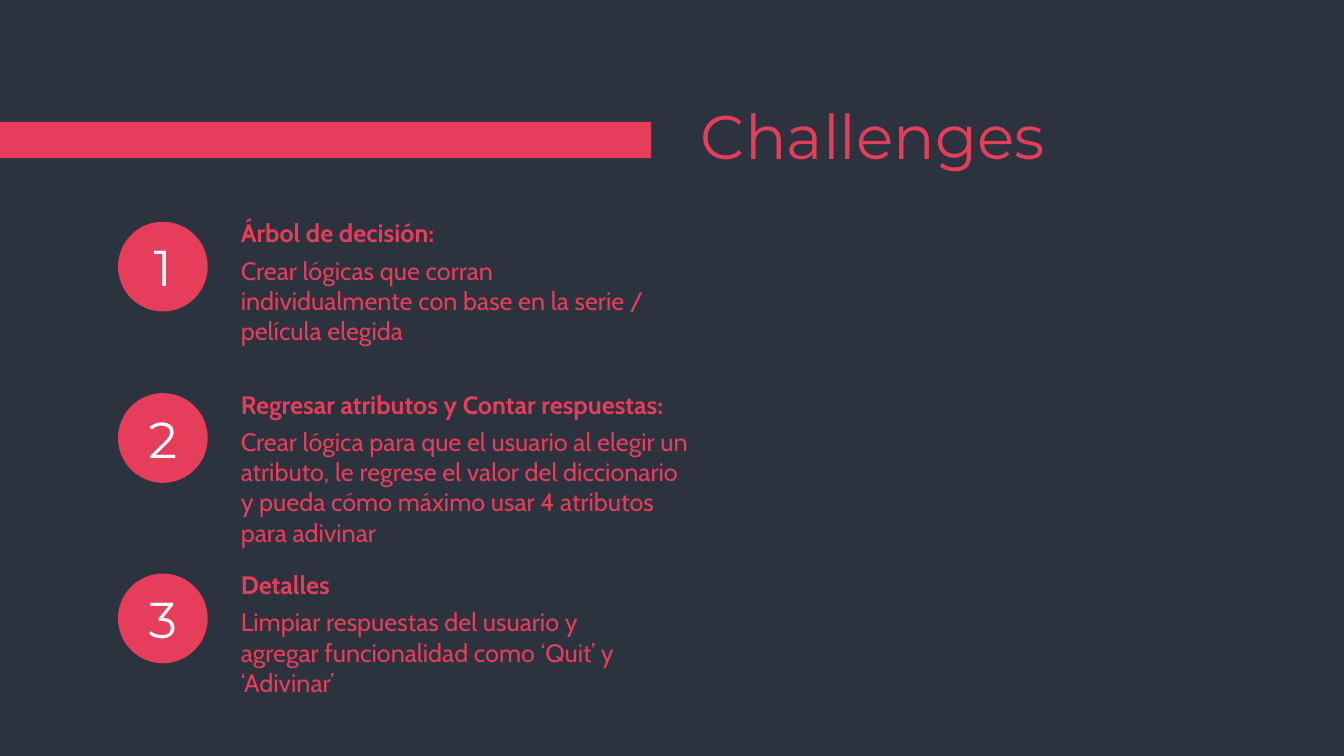
import pptx
import pptx.util
import pptx.dml.color
import pptx.enum.shapes
import pptx.enum.text

Inches = pptx.util.Inches
RGBColor = pptx.dml.color.RGBColor
SHAPES = pptx.enum.shapes.MSO_SHAPE
ANCHOR = pptx.enum.text.MSO_ANCHOR
ALIGN = pptx.enum.text.PP_ALIGN

NAVY = RGBColor(0x2B, 0x33, 0x3E)
CORAL = RGBColor(0xE6, 0x3D, 0x5A)
WHITE = RGBColor(0xFF, 0xFF, 0xFF)


def add_coral_shape(slide, kind, left, top, width, height):
    shape = slide.shapes.add_shape(
        kind, Inches(left), Inches(top), Inches(width), Inches(height))
    shape.shadow.inherit = False
    shape.fill.solid()
    shape.fill.fore_color.rgb = CORAL
    shape.line.fill.background()
    return shape


def write_text(frame, text, font_name, size, color, bold=False):
    frame.text = text
    frame.word_wrap = True
    font = frame.paragraphs[0].runs[0].font
    font.name = font_name
    font.size = pptx.util.Pt(size)
    font.color.rgb = color
    font.bold = bold


deck = pptx.Presentation()
deck.slide_width = Inches(13.33)
deck.slide_height = Inches(7.5)
slide = deck.slides.add_slide(deck.slide_layouts.get_by_name("Title Only"))

# Background and bar
slide.background.fill.solid()
slide.background.fill.fore_color.rgb = NAVY
add_coral_shape(slide, SHAPES.RECTANGLE, 0, 1.21, 6.46, 0.36)

# Title
title = slide.shapes.title
title.left, title.top = Inches(6.85), Inches(0.89)
title.width, title.height = Inches(6.15), Inches(0.99)
write_text(title.text_frame, "Challenges", "Montserrat", 44, CORAL)
title.text_frame.vertical_anchor = ANCHOR.MIDDLE
title.text_frame.paragraphs[0].alignment = ALIGN.LEFT
title.text_frame.paragraphs[0].line_spacing = 0.9

# Challenges: circle top, heading, heading width, detail, detail width and height
challenges = [
    (2.2, "Árbol de decisión:", 4.23,
     "Crear lógicas que corran individualmente con base en la serie / "
     "película elegida", 4.23, 1.01),
    (3.9, "Regresar atributos y Contar respuestas:", 5.99,
     "Crear lógica para que el usuario al elegir un atributo, le regrese el "
     "valor del diccionario y pueda cómo máximo usar 4 atributos para adivinar",
     4.71, 1.31),
    (5.69, "Detalles", 4.23,
     "Limpiar respuestas del usuario y agregar funcionalidad como ‘Quit’ y "
     "‘Adivinar’", 4.23, 1.01),
]

for number, challenge in enumerate(challenges, start=1):
    top, heading, heading_width, detail, detail_width, detail_height = challenge

    # Numbered circle
    circle = add_coral_shape(slide, SHAPES.OVAL, 1.17, top, 0.89, 0.89)
    write_text(circle.text_frame, str(number), "Montserrat", 36, WHITE)
    circle.text_frame.vertical_anchor = ANCHOR.MIDDLE
    circle.text_frame.paragraphs[0].alignment = ALIGN.CENTER

    # Heading and detail
    for text, offset, width, height, bold in (
            (heading, -0.09, heading_width, 0.4, True),
            (detail, 0.28, detail_width, detail_height, False)):
        box = slide.shapes.add_textbox(
            Inches(2.29), Inches(top + offset), Inches(width), Inches(height))
        write_text(box.text_frame, text, "Cabin", 18, CORAL, bold)
        box.text_frame.auto_size = pptx.enum.text.MSO_AUTO_SIZE.SHAPE_TO_FIT_TEXT

deck.save("out.pptx")
